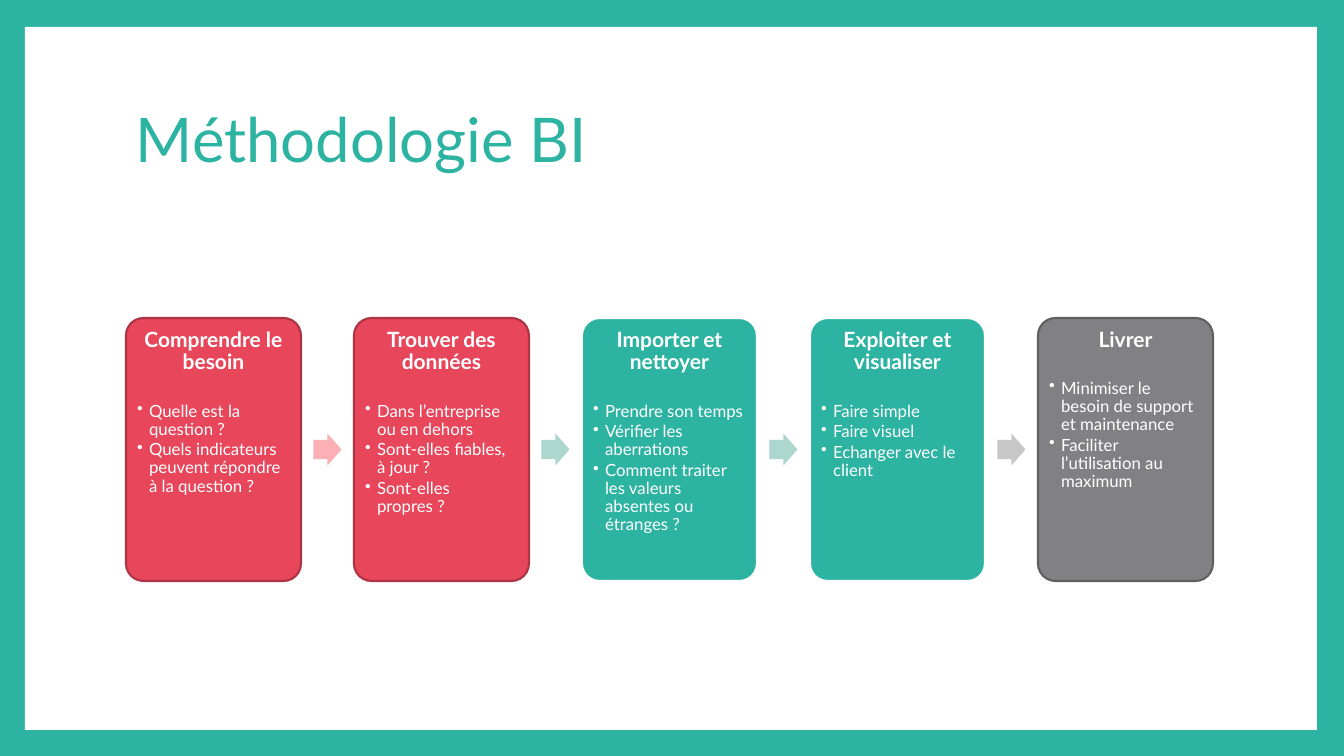
from pptx import Presentation, util as u
from pptx.dml.color import RGBColor
from pptx.enum import shapes, text
from pptx.oxml.ns import qn
from lxml import etree

TITLE = "Méthodologie BI"
# heading, colour family, bullets
STEPS = [
    ("Comprendre le besoin", "red",
     ["Quelle est la question ?",
      "Quels indicateurs peuvent répondre à la question ?"]),
    ("Trouver des données", "red",
     ["Dans l’entreprise ou en dehors",
      "Sont-elles fiables, à jour ?",
      "Sont-elles propres ?"]),
    ("Importer et nettoyer", "teal",
     ["Prendre son temps",
      "Vérifier les aberrations",
      "Comment traiter les valeurs absentes ou étranges ?"]),
    ("Exploiter et visualiser", "teal",
     ["Faire simple", "Faire visuel", "Echanger avec le client"]),
    ("Livrer", "gray",
     ["Minimiser le besoin de support et maintenance",
      "Faciliter l’utilisation au maximum"]),
]


class Theme:
    font = "Lato"
    teal, white = "2DB3A2", "FFFFFF"
    # card fill, card line, arrow leaving the card
    family = {"red": ("E8465A", "AC3443", "FBB0B5"),
              "teal": (teal, white, "ADD6CE"),
              "gray": ("818183", "5F5F61", "C7C7C8")}
    title, head, body = 44, 15, 12
    line = 1.5


SCALE = 914400 / 100.8
PAGE = (1344, 756)
FRAME = (25, 27, 1292, 703)
HEADER = (126, 68, 1089, 149)
LEFT, TOP, WIDE, HIGH = 126, 318, 175, 263
PITCH = 228
ARROW_W, ARROW_H = 28, 32
INSET, INDENT = 6, 12


def px(n):
    return u.Emu(round(n * SCALE))


def rgb(code):
    return RGBColor.from_string(code)


def draw(kind, box, fill, line=None, adjust=()):
    shape = slide.shapes.add_shape(kind, *map(px, box))
    shape.shadow.inherit = False
    shape.fill.solid()
    shape.fill.fore_color.rgb = rgb(fill)
    if line:
        shape.line.color.rgb = rgb(line)
        shape.line.width = u.Pt(Theme.line)
    else:
        shape.line.fill.background()
    for i, value in enumerate(adjust):
        shape.adjustments[i] = value
    return shape


def write(para, words, size, color, bold=False, center=False, after=0, bullet=False):
    para.line_spacing = 0.9
    para.space_after = u.Pt(after)
    para.alignment = text.PP_ALIGN.CENTER if center else text.PP_ALIGN.LEFT
    run = para.add_run()
    run.text = words
    font = run.font
    font.name, font.size, font.bold = Theme.font, u.Pt(size), bold
    font.color.rgb = rgb(color)
    if bullet:
        para.level = 1
        props = para._p.get_or_add_pPr()
        props.set("marL", str(px(INDENT)))
        props.set("indent", str(-px(INDENT)))
        etree.SubElement(props, qn("a:buChar")).set("char", "•")


def setup(frame, anchor):
    frame.word_wrap = True
    frame.vertical_anchor = anchor
    return frame


def card(x, head, fill, line, points):
    shape = draw(shapes.MSO_SHAPE.ROUNDED_RECTANGLE, (x, TOP, WIDE, HIGH), fill, line, [0.1])
    frame = setup(shape.text_frame, text.MSO_ANCHOR.TOP)
    frame.margin_left = frame.margin_right = px(INSET)
    frame.margin_top = frame.margin_bottom = px(INSET)
    write(frame.paragraphs[0], head, Theme.head, Theme.white, bold=True, center=True, after=20)
    for point in points:
        write(frame.add_paragraph(), point, Theme.body, Theme.white, after=1.8, bullet=True)


deck = Presentation()
deck.slide_width, deck.slide_height = map(px, PAGE)
slide = deck.slides.add_slide(deck.slide_layouts[6])
slide.background.fill.solid()
slide.background.fill.fore_color.rgb = rgb(Theme.teal)

draw(shapes.MSO_SHAPE.RECTANGLE, FRAME, Theme.white)
header = slide.shapes.add_textbox(*map(px, HEADER))
setup(header.text_frame, text.MSO_ANCHOR.MIDDLE)
write(header.text_frame.paragraphs[0], TITLE, Theme.title, Theme.teal)

for i, (head, family, points) in enumerate(STEPS):
    x = LEFT + i * PITCH
    fill, line, tint = Theme.family[family]
    if i:
        # each arrow sits in the gap before its card, in that card's tint
        left = x - (PITCH - WIDE + ARROW_W) / 2
        box = (left, TOP + (HIGH - ARROW_H) / 2, ARROW_W, ARROW_H)
        draw(shapes.MSO_SHAPE.RIGHT_ARROW, box, tint, adjust=[0.6, 0.5])
    card(x, head, fill, line, points)

deck.save("out.pptx")
